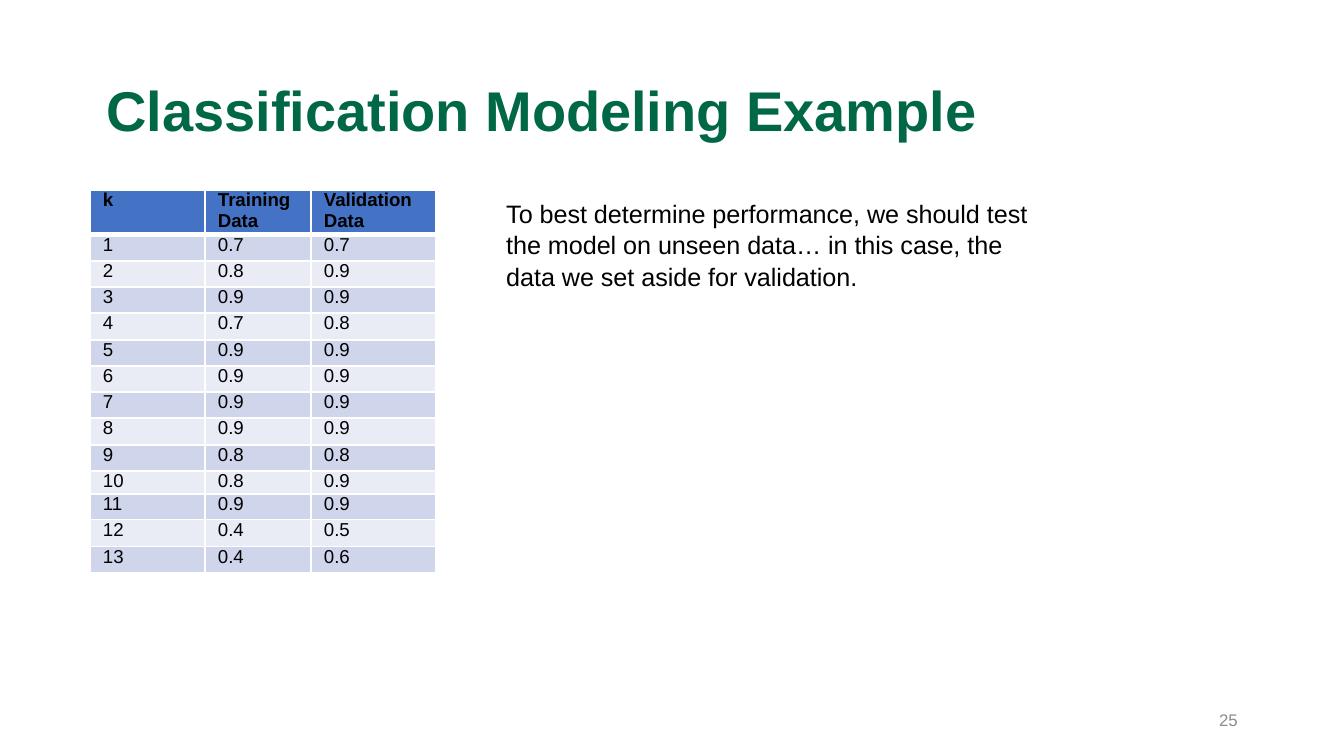
from lxml import etree
from pptx import Presentation
from pptx import util as u
from pptx.dml.color import RGBColor
from pptx.enum import text
from pptx.oxml.ns import qn

PX = 914400 / 134.4
COLORS = {"green": "006747", "black": "000000", "gray": "8C8C8C", "white": "FFFFFF",
          "header": "4472C4", "odd": "CFD5EA", "even": "E9EBF5"}


def px(n):
    return u.Emu(round(n * PX))


def write(frame, words, size, color, bold=False, **paragraph_format):
    paragraph = frame.paragraphs[0]
    for name, value in paragraph_format.items():
        setattr(paragraph, name, value)
    run = paragraph.add_run()
    run.text = words
    for name, value in {"name": "Arial", "size": u.Pt(size), "bold": bold}.items():
        setattr(run.font, name, value)
    run.font.color.rgb = RGBColor.from_string(COLORS[color])


deck = Presentation()
deck.slide_width, deck.slide_height = px(1344), px(756)
slide = deck.slides.add_slide(deck.slide_layouts[6])

middle, top = text.MSO_ANCHOR.MIDDLE, text.MSO_ANCHOR.TOP
passages = [
    ((93, 40, 1158, 146), middle, "Classification Modeling Example",
     {"size": 30, "color": "green", "bold": True, "line_spacing": 0.9}),
    ((949, 700, 302, 40), middle, "25",
     {"size": 9, "color": "gray", "alignment": text.PP_ALIGN.RIGHT}),
    ((493, 190, 571, 285), top,
     "To best determine performance, we should test the model on unseen data… "
     "in this case, the data we set aside for validation.",
     {"size": 13.5, "color": "black", "line_spacing": 1.05}),
]
for bounds, anchor, words, style in passages:
    frame = slide.shapes.add_textbox(*map(px, bounds)).text_frame
    frame.word_wrap = True
    frame.vertical_anchor = anchor
    write(frame, words, **style)

training = [0.7, 0.8, 0.9, 0.7, 0.9, 0.9, 0.9, 0.9, 0.8, 0.8, 0.9, 0.4, 0.4]
validation = [0.7, 0.9, 0.9, 0.8, 0.9, 0.9, 0.9, 0.9, 0.8, 0.9, 0.9, 0.5, 0.6]
records = [("k", "Training Data", "Validation Data")]
records += zip(range(1, 14), training, validation)

column_widths = [115, 106, 125]
row_heights = [42] + [26 + (k % 4 == 0) for k in range(1, 14)]
row_heights[10] = 23
scores = slide.shapes.add_table(
    len(records), len(column_widths), px(90), px(190),
    px(sum(column_widths)), px(sum(row_heights))).table
for column, width in zip(scores.columns, column_widths):
    column.width = px(width)

cell_format = {"margin_left": px(13), "margin_right": px(13),
               "margin_top": 0, "margin_bottom": 0, "vertical_anchor": top}
for k, (record, height) in enumerate(zip(records, row_heights)):
    scores.rows[k].height = px(height)
    band = "header" if k == 0 else "odd" if k % 2 else "even"
    for cell, value in zip(scores.rows[k].cells, record):
        for name, setting in cell_format.items():
            setattr(cell, name, setting)
        write(cell.text_frame, str(value), 10, "black", bold=k == 0)
        properties = cell._tc.get_or_add_tcPr()
        for side in ("lnL", "lnR", "lnT", "lnB"):
            heavy = (k, side) in ((0, "lnB"), (1, "lnT"))
            border = etree.SubElement(properties, qn(f"a:{side}"), w=str(u.Pt(3 if heavy else 1)))
            paint = etree.SubElement(border, qn("a:solidFill"))
            etree.SubElement(paint, qn("a:srgbClr"), val=COLORS["white"])
        cell.fill.solid()
        cell.fill.fore_color.rgb = RGBColor.from_string(COLORS[band])

deck.save("out.pptx")
